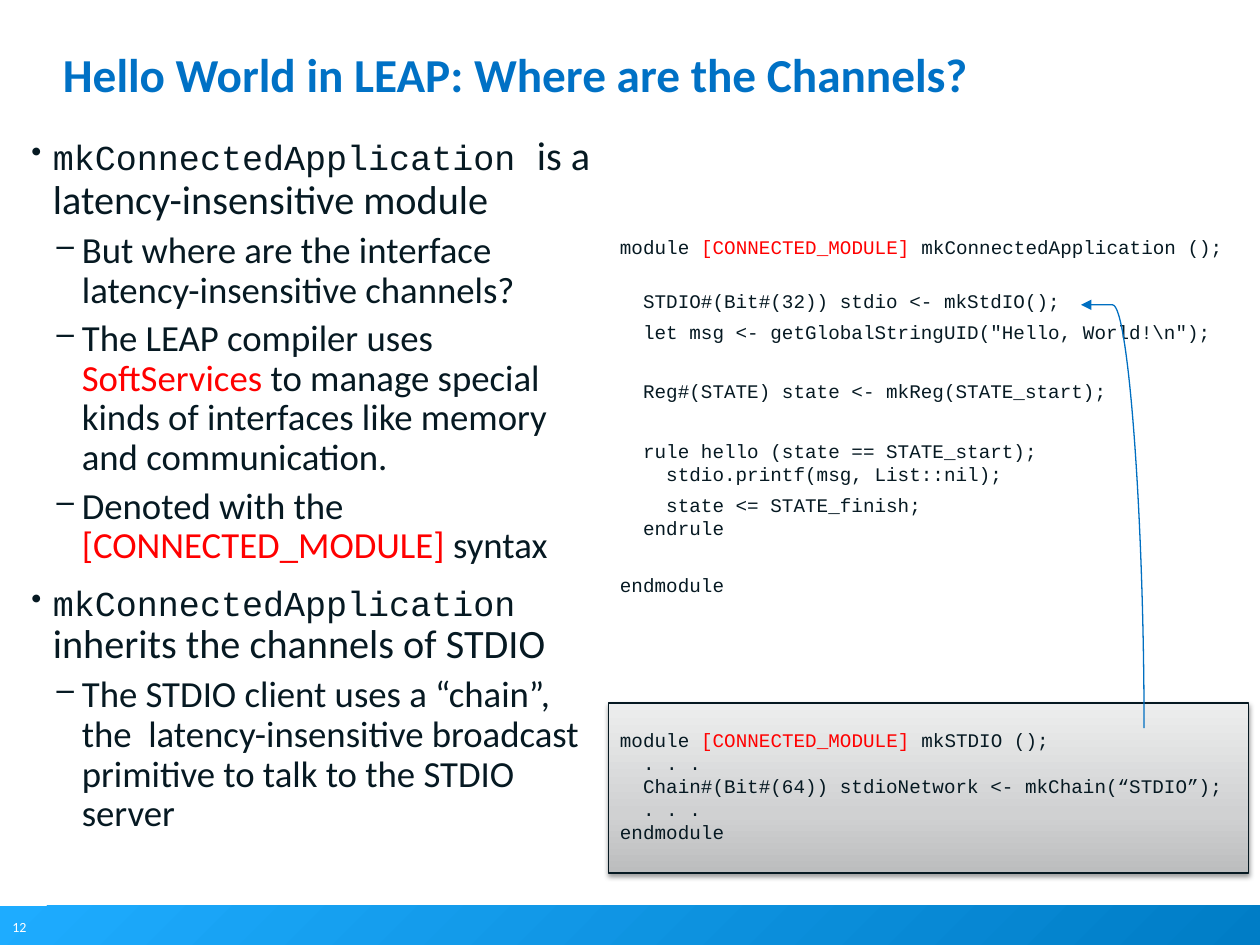
from typing import NamedTuple

from lxml.etree import SubElement
from pptx import Presentation
from pptx.dml.color import RGBColor
from pptx.enum.shapes import MSO_CONNECTOR, MSO_SHAPE
from pptx.oxml.ns import qn
from pptx.util import Inches, Pt

BLUE = RGBColor(0x00, 0x71, 0xC5)
ARROW_BLUE = RGBColor(0x00, 0x6F, 0xC1)
INK = RGBColor(0x06, 0x19, 0x22)
RED = RGBColor(0xFF, 0x00, 0x00)
WHITE = RGBColor(0xFF, 0xFF, 0xFF)
BLACK = RGBColor(0x00, 0x00, 0x00)
BANNER_STOPS = [(0, RGBColor(0x1E, 0xAC, 0xFF)), (100, RGBColor(0x00, 0x7D, 0xC6))]
PANEL_STOPS = [(0, RGBColor(0xBC, 0xBD, 0xBE)), (35, RGBColor(0xD0, 0xD1, 0xD2)),
               (100, RGBColor(0xED, 0xEE, 0xEE))]
SANS, MONO = "Calibri", "Courier New"


class Span(NamedTuple):
    text: str
    size: float
    font: str = SANS
    color: RGBColor = INK
    bold: bool = False


class Bullet(NamedTuple):
    char: str
    margin: float
    hanging: float = 0.2


class Para(NamedTuple):
    spans: list[Span]
    before: float = 0
    spacing: float | Pt | None = None
    bullet: Bullet | None = None


def add_bullet(paragraph, bullet: Bullet) -> None:
    props = paragraph._p.get_or_add_pPr()
    props.set("marL", str(Inches(bullet.margin)))
    props.set("indent", str(-Inches(bullet.hanging)))
    color = SubElement(props, qn("a:buClr"))
    SubElement(color, qn("a:srgbClr"), val=str(INK))
    SubElement(props, qn("a:buSzPct"), val="85000")
    SubElement(props, qn("a:buChar"), char=bullet.char)


def add_text(slide, box: tuple, paras: list[Para], *, inset: float = 0,
             wrap: bool = True) -> None:
    """Newlines inside a span become line breaks."""
    frame = slide.shapes.add_textbox(*map(Inches, box)).text_frame
    frame.word_wrap = wrap
    frame.margin_left = frame.margin_right = Inches(inset)
    frame.margin_top = frame.margin_bottom = Inches(inset / 2)
    for i, para in enumerate(paras):
        paragraph = frame.add_paragraph() if i else frame.paragraphs[0]
        paragraph.space_before = Pt(para.before)
        if para.spacing:
            paragraph.line_spacing = para.spacing
        if para.bullet:
            add_bullet(paragraph, para.bullet)
        for span in para.spans:
            for j, line in enumerate(span.text.split("\n")):
                if j:
                    paragraph.add_line_break()
                run = paragraph.add_run()
                run.text = line
                run.font.size = Pt(span.size)
                run.font.name = span.font
                run.font.bold = span.bold
                run.font.color.rgb = span.color


def add_gradient_box(slide, box: tuple, stops: list, angle: float):
    """Angle is counter-clockwise, in degrees."""
    shape = slide.shapes.add_shape(MSO_SHAPE.RECTANGLE, *map(Inches, box))
    shape.shadow.inherit = False
    shape.line.fill.background()
    shape.fill.gradient()
    shape.fill.gradient_angle = angle
    stop_list = shape._element.spPr.find(qn("a:gradFill")).find(qn("a:gsLst"))
    for old in list(stop_list):
        stop_list.remove(old)
    for position, color in stops:
        stop = SubElement(stop_list, qn("a:gs"), pos=str(position * 1000))
        SubElement(stop, qn("a:srgbClr"), val=str(color))
    return shape


def add_drop_shadow(shape) -> None:
    effects = shape._element.spPr.find(qn("a:effectLst"))
    shadow = SubElement(effects, qn("a:outerShdw"), blurRad=str(Pt(3.1)),
                        dist=str(Pt(1.6)), dir="5400000", rotWithShape="0")
    color = SubElement(shadow, qn("a:srgbClr"), val=str(BLACK))
    SubElement(color, qn("a:alpha"), val="38000")


def add_call_arrow(slide) -> None:
    """Curve from the mkSTDIO panel up to the mkStdIO() call, turned by 270 degrees."""
    arrow = slide.shapes.add_connector(
        MSO_CONNECTOR.CURVE, Inches(7.15), Inches(4.35), Inches(10.51), Inches(3.85))
    arrow.line.color.rgb = ARROW_BLUE
    arrow.line.width = Pt(0.75)
    props = arrow._element.spPr
    props.find(qn("a:xfrm")).set("rot", str(270 * 60000))
    guides = props.find(qn("a:prstGeom")).find(qn("a:avLst"))
    SubElement(guides, qn("a:gd"), name="adj1", fmla="val 100000")
    SubElement(props.find(qn("a:ln")), qn("a:tailEnd"), type="triangle")
    SubElement(props, qn("a:effectLst"))


def topic(name: str, rest: str) -> Para:
    return Para([Span(name, 20, MONO), Span(rest, 23)], 11, 0.9, Bullet("•", 0.17))


def detail(before: str, marked: str = "", after: str = "") -> Para:
    parts = [(before, INK), (marked, RED), (after, INK)]
    return Para([Span(text, 21, color=color) for text, color in parts if text],
                5, 0.9, Bullet("–", 0.4))


def code(text: str, before: float = 4, spacing: float | None = None) -> Para:
    return Para([Span(text, 11, MONO)], before, spacing)


def module_code(rest: str, spacing: float | None = None) -> Para:
    return Para([Span("module ", 11, MONO), Span("[CONNECTED_MODULE] ", 11, MONO, RED),
                 Span(rest, 11, MONO)], spacing=spacing)


POINTS = [
    topic("mkConnectedApplication ", "is a latency-insensitive module"),
    detail("But where are the interface latency-insensitive channels?"),
    detail("The LEAP compiler uses ", "SoftServices ",
           "to manage special kinds of interfaces like memory and communication."),
    detail("Denoted with the ", "[CONNECTED_MODULE]", " syntax"),
    topic("mkConnectedApplication ", "inherits the channels of STDIO"),
    detail("The STDIO client uses a “chain”, the  latency-insensitive broadcast "
           "primitive to talk to the STDIO server"),
]
SECTION_GAP = 21
APPLICATION = [
    module_code("mkConnectedApplication ();", 1.2),
    code("  STDIO#(Bit#(32)) stdio <- mkStdIO();", 18),
    code('  let msg <- getGlobalStringUID("Hello, World!\\n");'),
    code("  Reg#(STATE) state <- mkReg(STATE_start);", SECTION_GAP),
    code("  rule hello (state == STATE_start);\n    stdio.printf(msg, List::nil);",
         SECTION_GAP),
    code("    state <= STATE_finish;\n  endrule"),
    code("endmodule", 17, 1.2),
]
STDIO_MODULE = [module_code(
    "mkSTDIO ();\n  . . .\n  Chain#(Bit#(64)) stdioNetwork <- mkChain(“STDIO”);\n"
    "  . . .\nendmodule")]


def main() -> None:
    deck = Presentation()
    deck.slide_width, deck.slide_height = Inches(10), Inches(7.5)
    slide = deck.slides.add_slide(deck.slide_layouts[6])

    add_gradient_box(slide, (0, 7.19, 10, 0.31), BANNER_STOPS, 315)
    add_text(slide, (0, 7.24, 0.31, 0.24), [Para([Span("12", 8, color=WHITE)])],
             inset=0.1, wrap=False)
    add_text(slide, (4.92, 1.83, 4.95, 3.17), APPLICATION)
    title = Span("Hello World in LEAP: Where are the Channels?", 27, color=BLUE, bold=True)
    add_text(slide, (0.5, 0.45, 9, 0.97), [Para([title], spacing=Pt(26))])
    add_text(slide, (0.25, 1.08, 4.5, 5.92), POINTS)

    panel = add_gradient_box(slide, (4.83, 5.58, 5.08, 1.35), PANEL_STOPS, 90)
    panel.line.color.rgb = INK
    panel.line.width = Pt(0.75)
    add_drop_shadow(panel)
    add_text(slide, (4.92, 5.78, 4.95, 1.1), STDIO_MODULE)
    add_call_arrow(slide)
    deck.save("out.pptx")


if __name__ == "__main__":
    main()
